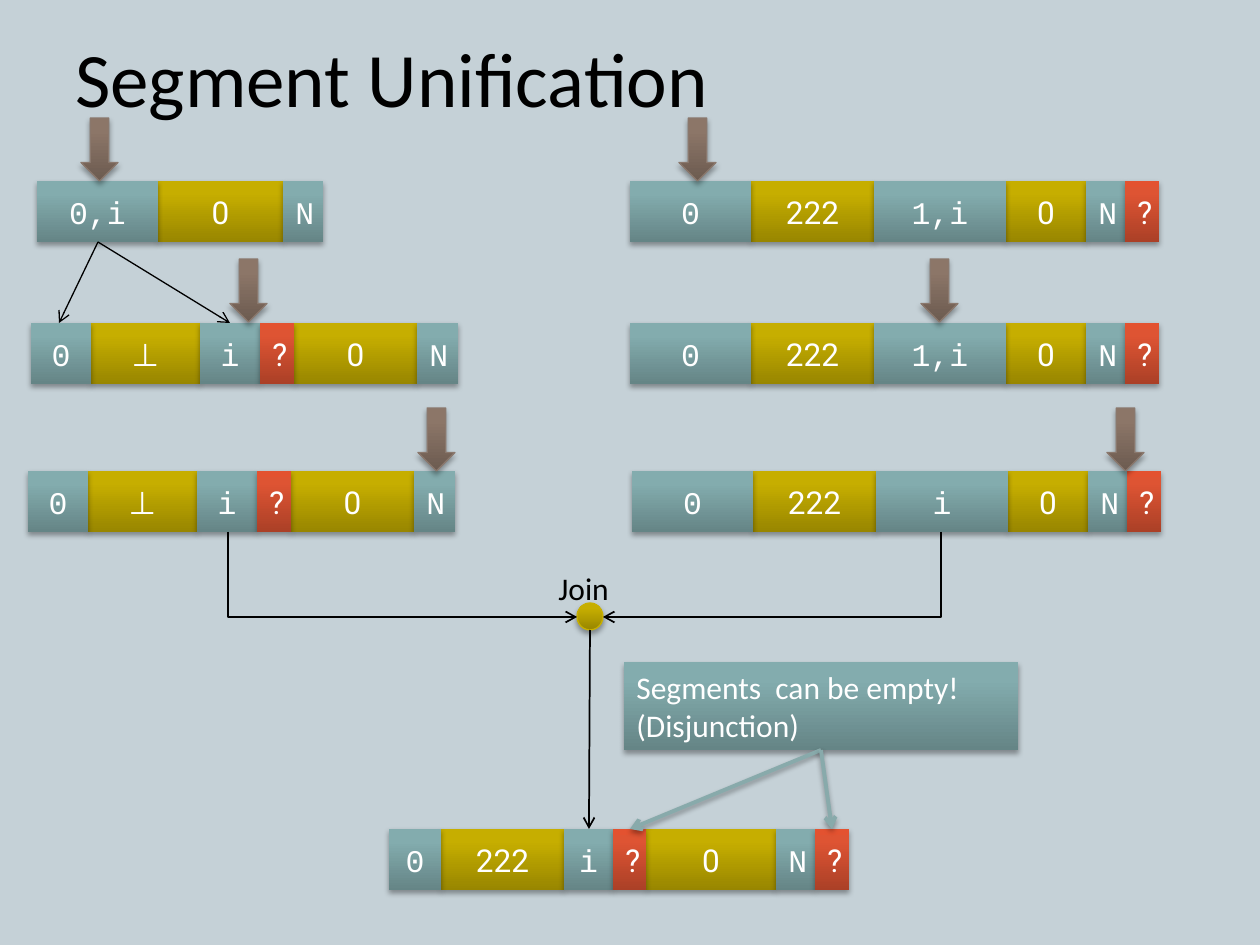
import dataclasses
import typing

import lxml.etree
import pptx
import pptx.dml.color
import pptx.enum.shapes
import pptx.enum.text
import pptx.oxml.ns
import pptx.util

SHAPE = pptx.enum.shapes.MSO_SHAPE
CONNECTOR = pptx.enum.shapes.MSO_CONNECTOR
ANCHOR = pptx.enum.text.MSO_ANCHOR
ALIGN = pptx.enum.text.PP_ALIGN
qn = pptx.oxml.ns.qn
PX_PER_INCH = 126


class Paint(typing.NamedTuple):
    """Gradient colours from bottom to top, and the font used on them."""
    bottom: str
    middle: str
    top: str
    font: str = "Calibri"


@dataclasses.dataclass(frozen=True)
class Theme:
    background: str = "C5D1D7"
    dark: str = "000000"
    light: str = "FFFFFF"
    arrow_line: str = "8A786D"
    dot_line: str = "C8B000"
    callout_line: str = "88AAAB"
    teal: Paint = Paint("658586", "83ACAE", "82AEAF", "Courier New")
    gold: Paint = Paint("988600", "C6AE00", "C7AF00", "Roboto")
    red: Paint = Paint("AB4027", "DE5433", "E35230", "Roboto")
    brown: Paint = Paint("6C5B50", "8C7668", "8D7768")
    font: str = "Calibri"
    title_size: int = 44
    body_size: int = 18


THEME = Theme()
TEAL, GOLD, RED = THEME.teal, THEME.gold, THEME.red


class Cell(typing.NamedTuple):
    text: str
    width: int
    paint: Paint


class Row(typing.NamedTuple):
    left: int
    top: int
    cells: list[Cell]


class Link(typing.NamedTuple):
    start: tuple[int, int]
    end: tuple[int, int]
    width: float = 1
    color: str = THEME.dark
    shadow: bool = False


def px(n: float) -> int:
    return round(n * 914400 / PX_PER_INCH)


def rgb(color: str) -> pptx.dml.color.RGBColor:
    return pptx.dml.color.RGBColor.from_string(color)


def add_shadow(effects) -> None:
    shadow = lxml.etree.SubElement(effects, qn("a:outerShdw"), blurRad="39400",
                                   dist="22900", dir="5400000", rotWithShape="0")
    color = lxml.etree.SubElement(shadow, qn("a:srgbClr"), val=THEME.dark)
    lxml.etree.SubElement(color, qn("a:alpha"), val="35000")


def set_text(sp, text: str, font: str, size: int, color: str, align=ALIGN.LEFT,
             anchor=ANCHOR.TOP, wrap: bool = True) -> None:
    tf = sp.text_frame
    tf.text = text
    tf.word_wrap = wrap
    tf.vertical_anchor = anchor
    p = tf.paragraphs[0]
    p.alignment = align
    r = p.runs[0]
    r.font.name, r.font.size = font, pptx.util.Pt(size)
    r.font.color.rgb = rgb(color)


def add_label(s, box: tuple[int, ...], text: str, size: int, **layout) -> None:
    sp = s.shapes.add_textbox(*map(px, box))
    set_text(sp, text, THEME.font, size, THEME.dark, **layout)


def add_painted(shapes, kind, box: tuple[int, ...], paint: Paint, line: str = ""):
    sp = shapes.add_shape(kind, *map(px, box))
    sp.fill.gradient()
    sp.fill.gradient_angle = 90
    stops = sp.element.spPr.find(".//" + qn("a:gsLst"))
    stops.clear()
    for pos, color in zip((0, 80000, 100000), paint[:3]):
        stop = lxml.etree.SubElement(stops, qn("a:gs"), pos=str(pos))
        lxml.etree.SubElement(stop, qn("a:srgbClr"), val=color)
    if line:
        sp.line.color.rgb = rgb(line)
        sp.line.width = pptx.util.Pt(0.75)
    else:
        sp.line.fill.background()
    sp.shadow.inherit = False
    add_shadow(sp.element.spPr.find(qn("a:effectLst")))
    return sp


def add_row(s, row: Row) -> None:
    group = s.shapes.add_group_shape()
    placed, x = [], row.left
    for cell in row.cells:
        placed.append((x, cell))
        x += cell.width
    # Gold lies lowest, so its neighbours cast their shadows on it
    placed.sort(key=lambda item: (GOLD, TEAL, RED).index(item[1].paint))
    for x, cell in placed:
        sp = add_painted(group.shapes, SHAPE.RECTANGLE, (x, row.top, cell.width, 61), cell.paint)
        font = THEME.font if cell.text == "⊥" else cell.paint.font
        set_text(sp, cell.text, font, THEME.body_size, THEME.light, ALIGN.CENTER, ANCHOR.MIDDLE)


def add_link(s, link: Link, kind=CONNECTOR.STRAIGHT):
    sp = s.shapes.add_connector(kind, *map(px, link.start + link.end))
    sp.line.color.rgb = rgb(link.color)
    sp.line.width = pptx.util.Pt(link.width)
    props = sp.element.spPr
    lxml.etree.SubElement(props.find(qn("a:ln")), qn("a:tailEnd"), type="arrow")
    effects = lxml.etree.SubElement(props, qn("a:effectLst"))
    if link.shadow:
        add_shadow(effects)
    return sp


def add_down_then_across(s, link: Link) -> None:
    """An elbow is stored unturned about its centre, then turned by a quarter."""
    (x1, y1), (x2, y2) = link.start, link.end
    cx, cy = (x1 + x2) / 2, (y1 + y2) / 2
    half_w, half_h = (y2 - y1) / 2, abs(x2 - x1) / 2
    side = 1 if x2 > x1 else -1
    turned = link._replace(start=(cx + side * half_w, cy - half_h),
                           end=(cx - side * half_w, cy + half_h))
    props = add_link(s, turned, CONNECTOR.ELBOW).element.spPr
    props.find(qn("a:prstGeom")).set("prst", "bentConnector2")
    props.find(qn("a:xfrm")).set("rot", "16200000" if side > 0 else "5400000")


def right_cells(third: str) -> list[Cell]:
    return [Cell("0", 121, TEAL), Cell("222", 123, GOLD), Cell(third, 132, TEAL),
            Cell("0", 80, GOLD), Cell("N", 39, TEAL), Cell("?", 34, RED)]


SPLIT = [Cell("0", 60, TEAL), Cell("⊥", 109, GOLD), Cell("i", 60, TEAL),
         Cell("?", 34, RED), Cell("0", 123, GOLD), Cell("N", 41, TEAL)]
ROWS = [
    Row(37, 181, [Cell("0,i", 121, TEAL), Cell("0", 125, GOLD), Cell("N", 40, TEAL)]),
    Row(630, 181, right_cells("1,i")),
    Row(31, 323, SPLIT),
    Row(630, 323, right_cells("1,i")),
    Row(28, 471, SPLIT),
    Row(632, 471, right_cells("i")),
    Row(389, 829, [Cell("0", 52, TEAL), Cell("222", 123, GOLD), Cell("i", 49, TEAL),
                   Cell("?", 33, RED), Cell("0", 130, GOLD), Cell("N", 39, TEAL),
                   Cell("?", 34, RED)]),
]
POINTERS = [(81, 118), (679, 118), (230, 259), (921, 259), (418, 408), (1107, 408)]
JOIN_LINKS = [Link((228, 532), (577, 617)), Link((941, 532), (603, 617))]
LINKS = [
    Link((590, 630), (589, 829)),
    Link((98, 242), (59, 323), 0.75),
    Link((98, 242), (230, 323), 0.75),
    Link((821, 750), (630, 829), 2.25, THEME.callout_line, True),
    Link((821, 750), (832, 829), 2.25, THEME.callout_line, True),
]


def main() -> None:
    prs = pptx.Presentation()
    prs.slide_width, prs.slide_height = px(1260), px(945)
    s = prs.slides.add_slide(prs.slide_layouts[6])
    s.background.fill.solid()
    s.background.fill.fore_color.rgb = rgb(THEME.background)

    # Title and segment rows
    add_label(s, (63, 21, 1134, 112), "Segment Unification", THEME.title_size,
              anchor=ANCHOR.MIDDLE)
    for row in ROWS:
        add_row(s, row)

    # Join point
    add_painted(s.shapes, SHAPE.OVAL, (577, 603, 26, 27), GOLD, THEME.dot_line)
    for link in JOIN_LINKS:
        add_down_then_across(s, link)
    add_label(s, (546, 563, 83, 50), "Join", THEME.body_size, wrap=False)

    # Position pointers
    for x, y in POINTERS:
        add_painted(s.shapes, SHAPE.DOWN_ARROW, (x, y, 37, 63), THEME.brown, THEME.arrow_line)

    # Callout and straight arrows
    callout = add_painted(s.shapes, SHAPE.RECTANGLE, (624, 662, 394, 88), TEAL)
    set_text(callout, "Segments  can be empty! (Disjunction)", THEME.font,
             THEME.body_size, THEME.light)
    for link in LINKS:
        add_link(s, link)

    prs.save("out.pptx")


if __name__ == "__main__":
    main()
